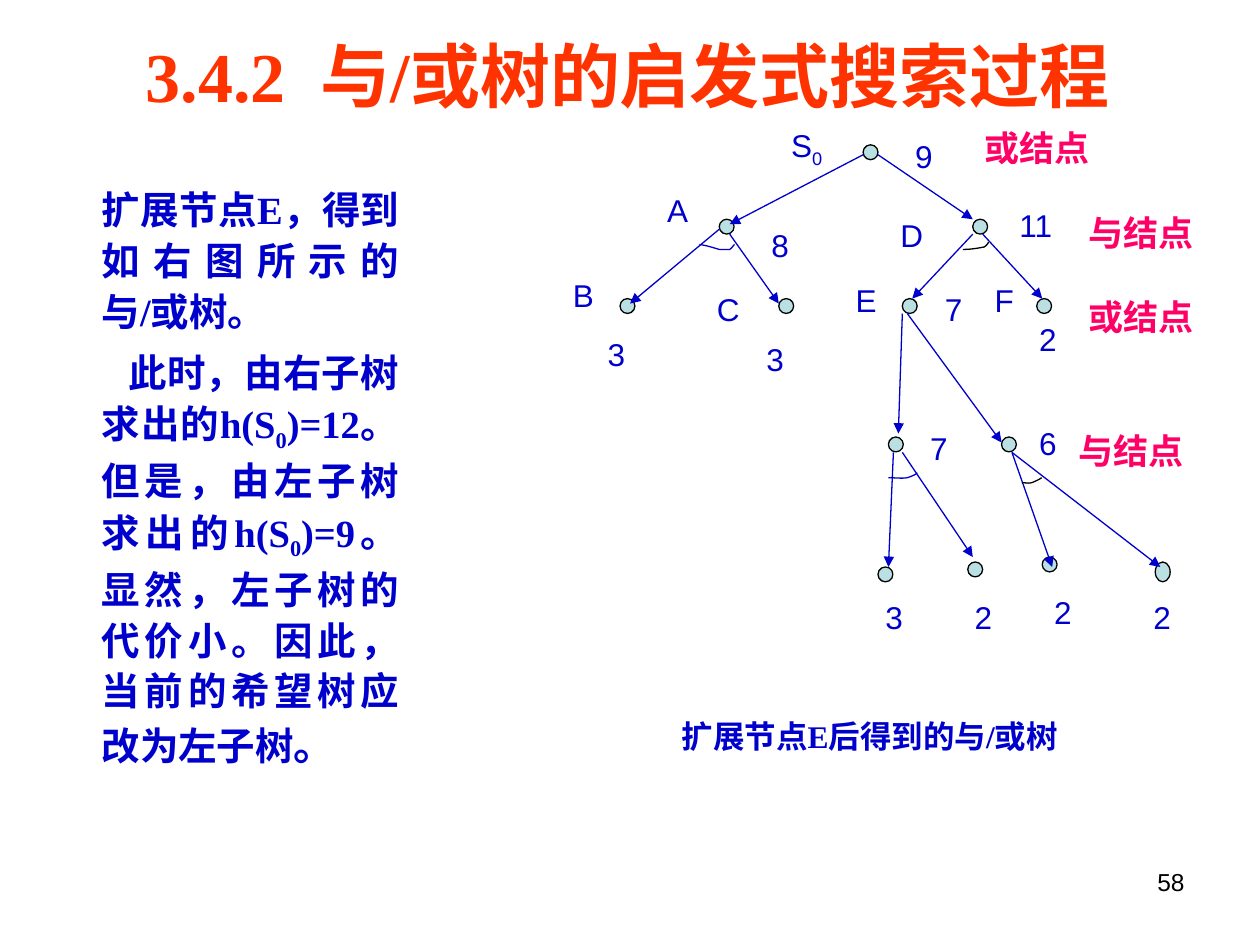
"""Build the slide on heuristic search of an AND/OR tree."""
import dataclasses
from typing import NamedTuple

import pptx
import pptx.dml.color
import pptx.enum.lang
import pptx.enum.shapes
import pptx.enum.text
import pptx.oxml
import pptx.oxml.ns
import pptx.util

Cm, Pt = pptx.util.Cm, pptx.util.Pt
RGBColor = pptx.dml.color.RGBColor
ALIGN = pptx.enum.text.PP_ALIGN

BLUE = RGBColor(0x00, 0x00, 0xCC)
BLACK = RGBColor(0x00, 0x00, 0x00)
ORANGE = RGBColor(0xFF, 0x33, 0x00)
PINK = RGBColor(0xFF, 0x00, 0x66)
PALE_TEAL = RGBColor(0xBB, 0xE0, 0xE3)
SERIF, SANS = "Times New Roman", "Arial"
LINE_WIDTH = Pt(0.75)
NODE_SIZE = 0.3


class Node(NamedTuple):
    left: float
    top: float
    height: float = NODE_SIZE


class Edge(NamedTuple):
    start: tuple[float, float]
    end: tuple[float, float]


class Label(NamedTuple):
    text: str
    left: float
    top: float
    width: float
    height: float = 1.02


@dataclasses.dataclass
class Arc:
    color: RGBColor
    points: list[tuple[float, float]]


NODES = [
    Node(17.4, 2.92), Node(14.5, 4.42), Node(19.61, 4.42),
    Node(12.5, 6.02), Node(15.7, 6.02), Node(18.19, 6.02), Node(20.9, 6.02),
    Node(17.91, 8.81), Node(20.19, 8.81),
    Node(17.7, 11.43), Node(19.51, 11.33), Node(21.01, 11.23), Node(23.29, 11.33, 0.4),
]
EDGES = [
    Edge((17.4, 3.12), (14.71, 4.52)), Edge((17.7, 3.12), (19.61, 4.42)),
    Edge((14.5, 4.62), (12.7, 6.12)), Edge((14.71, 4.72), (15.7, 6.12)),
    Edge((19.61, 4.72), (18.39, 6.02)), Edge((19.81, 4.72), (21.01, 6.02)),
    Edge((18.19, 6.32), (18.11, 8.74)), Edge((18.29, 6.32), (20.19, 8.92)),
    Edge((18.01, 9.12), (17.91, 11.43)), Edge((18.19, 9.12), (19.61, 11.23)),
    Edge((20.4, 9.12), (21.21, 11.43)), Edge((20.4, 9.12), (23.39, 11.43)),
]
ARCS = [
    Arc(BLUE, [(14.1, 4.93), (14.25, 4.95), (14.4, 5.0), (14.5, 5.03), (14.6, 5.03),
               (14.66, 5.03), (14.71, 5.03), (14.76, 5.0), (14.78, 4.95), (14.81, 4.93)]),
    Arc(BLACK, [(19.41, 5.03), (19.58, 5.03), (19.74, 5.0), (19.84, 4.98),
                (19.89, 4.95), (19.91, 4.92), (19.93, 4.88)]),
    Arc(BLUE, [(17.91, 9.63), (18.06, 9.63), (18.19, 9.65), (18.29, 9.63),
               (18.39, 9.6), (18.49, 9.55), (18.49, 9.53)]),
    Arc(BLACK, [(20.6, 9.73), (20.68, 9.73), (20.73, 9.75), (20.8, 9.73),
                (20.88, 9.7), (20.98, 9.65), (21.0, 9.63)]),
]
NAMES_AND_COSTS = [
    Label("S|0", 15.7, 2.42, 1.4, 1.12), Label("9", 18.2, 2.63, 0.91),
    Label("A", 13.2, 3.73, 0.99), Label("8", 15.3, 4.42, 0.89),
    Label("D", 17.9, 4.22, 1.09), Label("11", 20.3, 4.03, 1.3),
    Label("B", 11.3, 5.43, 0.91), Label("C", 14.2, 5.72, 0.99),
    Label("E", 17.0, 5.53, 0.81), Label("F", 19.8, 5.53, 0.81),
    Label("3", 12.0, 6.63, 0.99), Label("3", 15.2, 6.73, 0.99),
    Label("7", 18.8, 5.72, 0.99), Label("2", 20.7, 6.32, 0.99),
    Label("7", 18.5, 8.52, 0.91), Label("6", 20.7, 8.42, 0.99),
    Label("3", 17.6, 11.92, 0.89), Label("2", 19.4, 11.92, 0.89),
    Label("2", 21.0, 11.83, 1.09), Label("2", 23.0, 11.92, 0.99),
]
NODE_KINDS = [
    Label("或结点", 19.8, 2.52, 2.31, 0.91), Label("与结点", 21.9, 4.23, 2.31, 0.91),
    Label("或结点", 21.9, 5.92, 2.31, 0.91), Label("与结点", 21.69, 8.63, 2.31, 0.91),
]
EXPANSION = "扩展节点E，得到如右图所示的与/或树。"
CONCLUSION = ("此时，由右子树求出的h(S|0|)=12。但是，由左子树求出的h(S|0|)=9。"
              "显然，左子树的代价小。因此，当前的希望树应改为左子树")


def write(paragraph, text: str, *, size: float = 18, color: RGBColor = BLUE,
          font: str = SANS, bold: bool = False, tracking: int = 0) -> None:
    """Append text whose parts between bars are subscripts."""
    for index, part in enumerate(text.split("|")):
        run = paragraph.add_run()
        run.text = part
        run.font.size, run.font.name, run.font.bold = Pt(size), font, bold
        run.font.color.rgb = color
        run.font.language_id = pptx.enum.lang.MSO_LANGUAGE_ID.SIMPLIFIED_CHINESE
        properties = run._r.get_or_add_rPr()
        if index % 2:
            properties.set("baseline", "-25000")
        if tracking:
            properties.set("spc", str(tracking))


def add_frame(slide, label: Label, *, inset: tuple[float, float] = (0.25, 0.13)):
    """Add a wrapping text box and return its text frame."""
    box = slide.shapes.add_textbox(*map(Cm, label[1:]))
    frame = box.text_frame
    frame.word_wrap = True
    frame.auto_size = pptx.enum.text.MSO_AUTO_SIZE.SHAPE_TO_FIT_TEXT
    frame.margin_left = frame.margin_right = Cm(inset[0])
    frame.margin_top = frame.margin_bottom = Cm(inset[1])
    return frame


def add_node(slide, node: Node) -> None:
    """Draw one tree node."""
    circle = slide.shapes.add_shape(pptx.enum.shapes.MSO_SHAPE.OVAL, Cm(node.left), Cm(node.top),
                                    Cm(NODE_SIZE), Cm(node.height))
    circle.shadow.inherit = False
    circle.fill.solid()
    circle.fill.fore_color.rgb = PALE_TEAL
    circle.line.color.rgb = BLACK
    circle.line.width = LINE_WIDTH


def add_edge(slide, edge: Edge) -> None:
    """Draw one arrow from parent to child."""
    arrow = slide.shapes.add_connector(pptx.enum.shapes.MSO_CONNECTOR.STRAIGHT,
                                       *map(Cm, edge.start + edge.end))
    arrow.line.color.rgb = BLUE
    arrow.line.width = LINE_WIDTH
    tail = pptx.oxml.parse_xml(f'<a:tailEnd {pptx.oxml.ns.nsdecls("a")} type="triangle"/>')
    arrow.line._get_or_add_ln().append(tail)
    arrow._element.spPr.append(pptx.oxml.parse_xml(f'<a:effectLst {pptx.oxml.ns.nsdecls("a")}/>'))


def add_arc(slide, arc: Arc, steps: int = 8) -> None:
    """Draw a chain of cubic curves that marks an AND node."""
    vertices = []
    for first in range(0, len(arc.points) - 1, 3):
        controls = arc.points[first:first + 4]
        for step in range(1, steps + 1):
            t = step / steps
            weights = ((1 - t) ** 3, 3 * t * (1 - t) ** 2, 3 * t * t * (1 - t), t ** 3)
            vertices.append(tuple(Cm(sum(w * point[axis] for w, point in zip(weights, controls)))
                                  for axis in (0, 1)))
    builder = slide.shapes.build_freeform(*map(Cm, arc.points[0]))
    builder.add_line_segments(vertices, close=False)
    curve = builder.convert_to_shape()
    curve.shadow.inherit = False
    curve.fill.background()
    curve.line.color.rgb = arc.color
    curve.line.width = LINE_WIDTH


def add_title(slide) -> None:
    """Place and fill the title."""
    title = slide.shapes.title
    title.left, title.top, title.width, title.height = map(Cm, (1.3, 0.53, 22.71, 1.96))
    heading = title.text_frame.paragraphs[0]
    heading.alignment = ALIGN.CENTER
    for part, tracking in (("3.4.2", 0), (" ", 1000), ("与/或树的启发式搜索过程", 0)):
        write(heading, part, size=40, color=ORANGE, font=SERIF, bold=True, tracking=tracking)


def add_explanation(slide) -> None:
    """Add the two justified paragraphs on the left."""
    frame = add_frame(slide, Label("", 1.8, 3.53, 6.5, 13.13))
    paragraphs = [frame.paragraphs[0], frame.add_paragraph()]
    for paragraph, text, gap in zip(paragraphs, (EXPANSION, CONCLUSION), (2.8, 3)):
        paragraph.alignment = ALIGN.JUSTIFY
        paragraph.line_spacing = 1.1
        paragraph.space_before = paragraph.space_after = Pt(gap)
        paragraph._p.get_or_add_pPr().set("hangingPunct", "0")
        write(paragraph, text, size=22, font=SERIF, bold=True)
    paragraphs[1]._p.get_or_add_pPr().set("indent", str(Cm(0.54)))
    write(paragraphs[1], "。", size=24, bold=True)


def main() -> None:
    """Build and save the slide."""
    deck = pptx.Presentation()
    deck.slide_width, deck.slide_height = Cm(25.4), Cm(19.05)
    slide = deck.slides.add_slide(deck.slide_layouts[5])
    add_title(slide)
    add_explanation(slide)
    for items, draw in ((NODES, add_node), (EDGES, add_edge), (ARCS, add_arc)):
        for item in items:
            draw(slide, item)
    for label in NAMES_AND_COSTS:
        write(add_frame(slide, label).paragraphs[0], label.text)
    for label in NODE_KINDS:
        write(add_frame(slide, label, inset=(0.05, 0.03)).paragraphs[0], label.text,
              size=20, color=PINK, font=SERIF, bold=True)
    caption = Label("扩展节点E后得到的与/或树", 13.49, 14.33, 8.51, 1.78)
    write(add_frame(slide, caption).paragraphs[0], caption.text, font=SERIF, bold=True)
    page = Label("58", 18.21, 17.35, 5.92, 1.32)
    page_number = add_frame(slide, page).paragraphs[0]
    page_number.alignment = ALIGN.RIGHT
    write(page_number, page.text, size=14, color=BLACK)
    deck.save("out.pptx")


if __name__ == "__main__":
    main()
